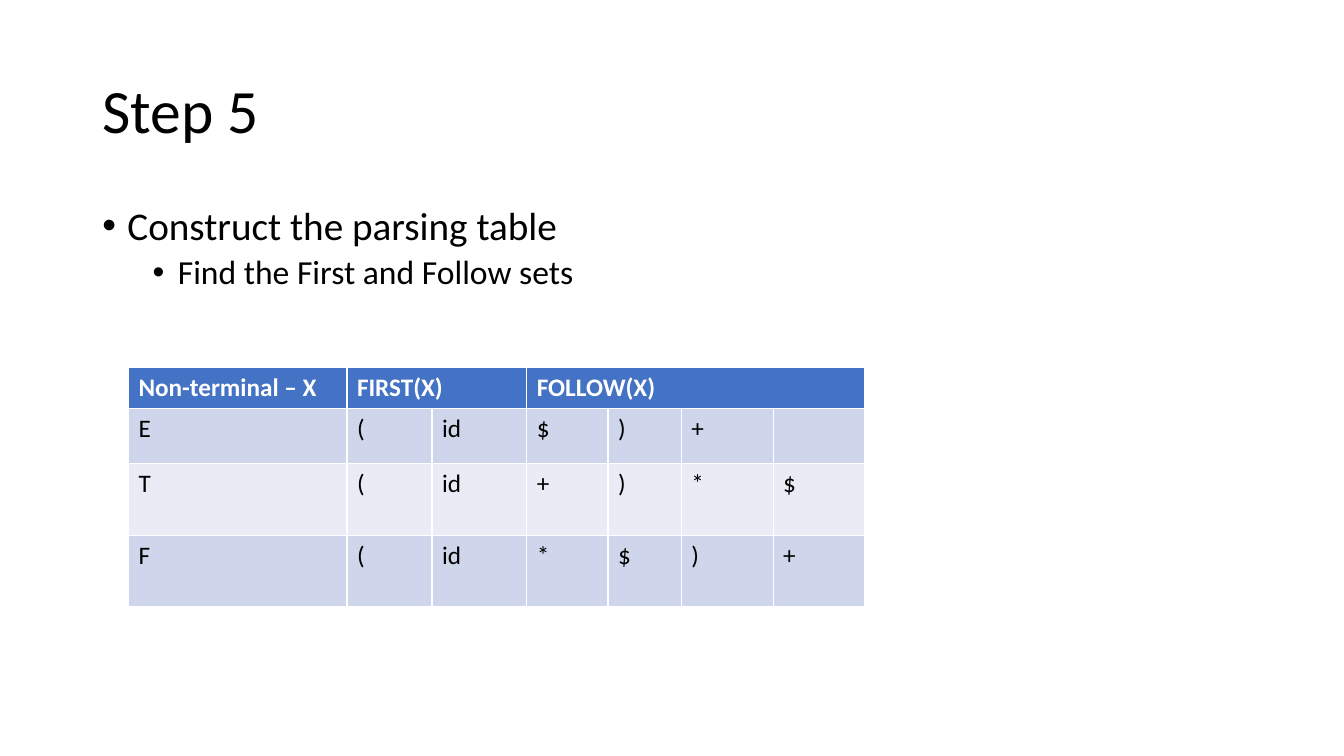
import pptx
import pptx.util
import pptx.dml.color
import pptx.enum.text
import lxml.etree

Pt = pptx.util.Pt
RGB = pptx.dml.color.RGBColor.from_string
A = "http://schemas.openxmlformats.org/drawingml/2006/main"

theme = {
    "font": "Calibri",
    "ink": "000000",
    "head": "4472C4",
    "light": "FFFFFF",
    "bands": ["CFD5EA", "E9EBF5"],
    "title": 44,
    "points": [28, 24],
    "cell": 18,
}


def style(par, size, color, bold=False):
    for run in par.runs:
        run.font.name = theme["font"]
        run.font.size = Pt(size)
        run.font.bold = bold
        run.font.color.rgb = RGB(color)


deck = pptx.Presentation()
deck.slide_width, deck.slide_height = Pt(960), Pt(540)
slide = deck.slides.add_slide(deck.slide_layouts[5])

# Title
title = slide.shapes.title
title.left, title.top, title.width, title.height = Pt(66), Pt(28.8), Pt(828), Pt(104.4)
title.text_frame.text = "Step 5"
title.text_frame.vertical_anchor = pptx.enum.text.MSO_ANCHOR.MIDDLE
par = title.text_frame.paragraphs[0]
par.alignment = pptx.enum.text.PP_ALIGN.LEFT
par.line_spacing = 0.9
style(par, theme["title"], theme["ink"])

# Bullet points
body = slide.shapes.add_textbox(Pt(66), Pt(143.75), Pt(828), Pt(342.6))
frame = body.text_frame
frame.word_wrap = True
frame.text = "Construct the parsing table\nFind the First and Follow sets"
for level, par in enumerate(frame.paragraphs):
    props = par._p.get_or_add_pPr()
    props.set("marL", str(Pt(18 + 36 * level)))
    props.set("indent", str(Pt(-18)))
    lxml.etree.SubElement(props, f"{{{A}}}buFont", typeface="Arial")
    lxml.etree.SubElement(props, f"{{{A}}}buChar", char="•")
    par.level = level
    par.line_spacing = 0.9
    par.space_before = Pt(5 * level)
    style(par, theme["points"][level], theme["ink"])

# Table of First and Follow sets
rows = [
    ["Non-terminal – X", "FIRST(X)", "", "FOLLOW(X)", "", "", ""],
    ["E", "(", "id", "$", ")", "+", ""],
    ["T", "(", "id", "+", ")", "*", "$"],
    ["F", "(", "id", "*", "$", ")", "+"],
]
widths = [156, 60.8, 67.7, 58, 52.4, 65.6, 65.2]
heights = [29.2, 39.4, 51.2, 51.2]
grid = slide.shapes.add_table(
    len(rows), len(widths), Pt(91.8), Pt(262.6), Pt(sum(widths)), Pt(sum(heights))
).table
for col, width in zip(grid.columns, widths):
    col.width = Pt(width)
for r, (row, height) in enumerate(zip(rows, heights)):
    grid.rows[r].height = Pt(height)
    head = r == 0
    fill = theme["head"] if head else theme["bands"][(r - 1) % 2]
    for c, word in enumerate(row):
        cell = grid.cell(r, c)
        cell.fill.solid()
        cell.fill.fore_color.rgb = RGB(fill)
        cell.text_frame.text = word
        par = cell.text_frame.paragraphs[0]
        par.font.size = Pt(theme["cell"])
        style(par, theme["cell"], theme["light" if head else "ink"], head)

# Header spans
for first, last in [(1, 2), (3, 6)]:
    grid.cell(0, first).merge(grid.cell(0, last))

deck.save("out.pptx")
